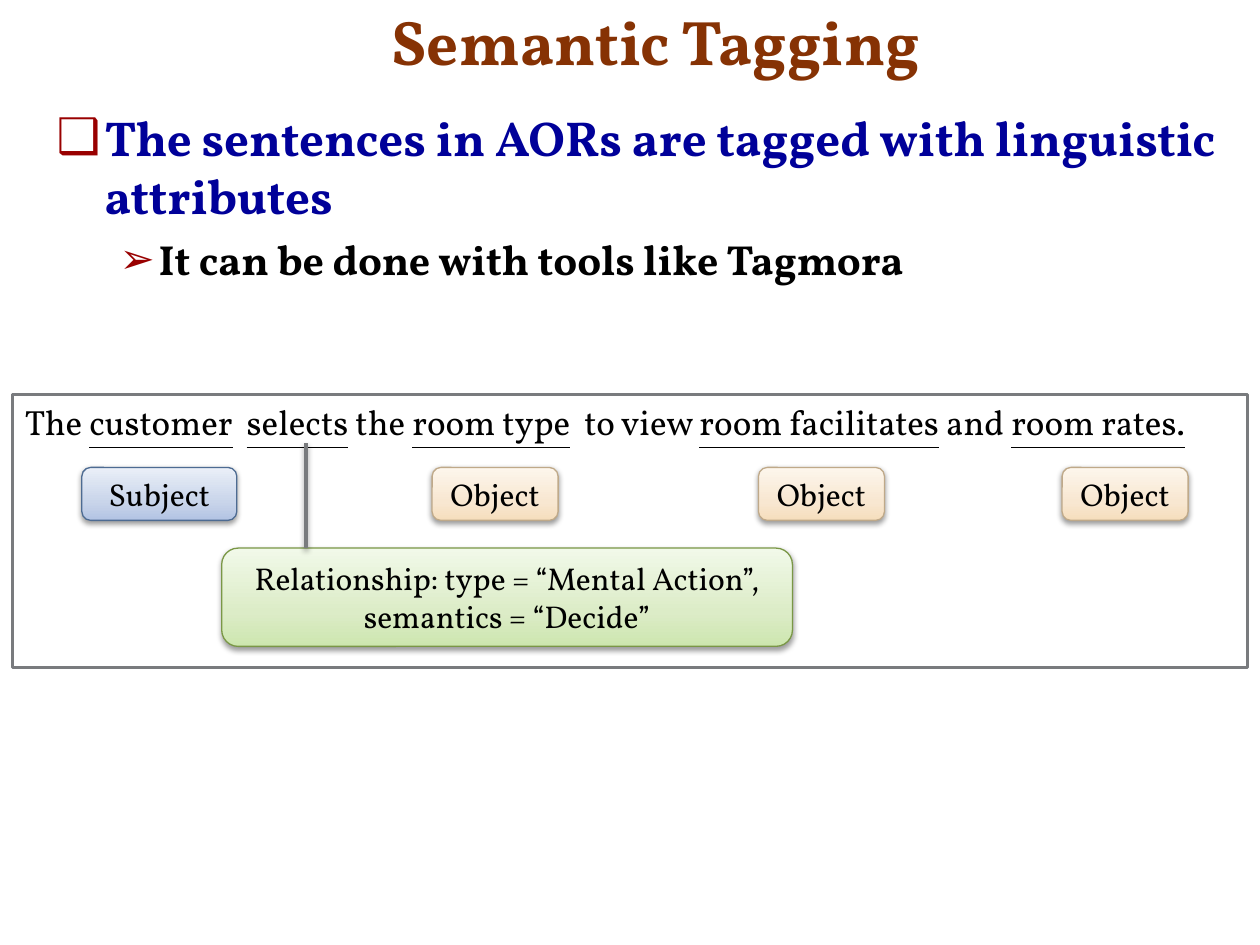
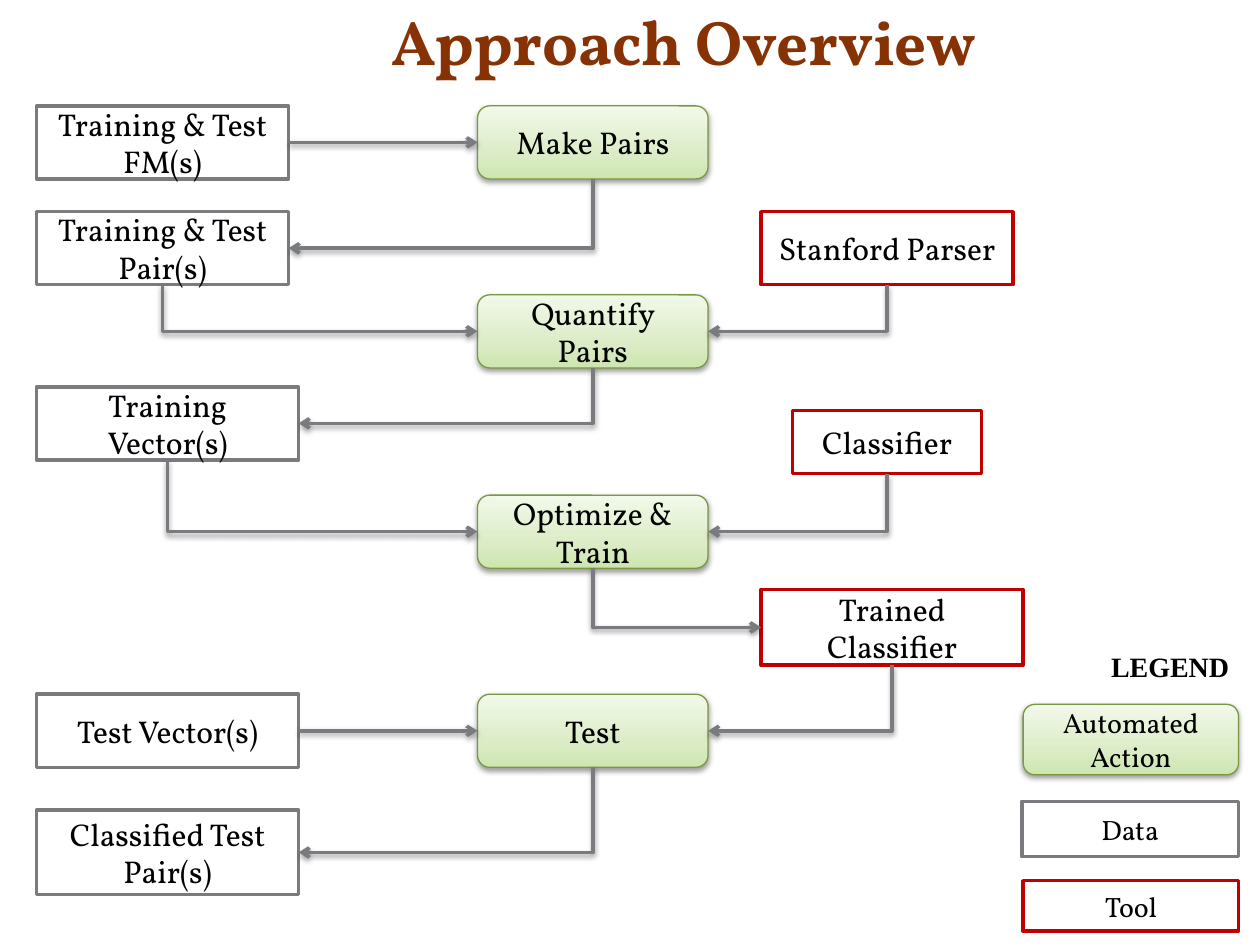
"""Build two slides: semantic tagging and the approach overview."""
from copy import deepcopy

from pptx import Presentation
from pptx.dml.color import RGBColor
from pptx.enum.shapes import MSO_CONNECTOR, MSO_SHAPE
from pptx.enum.text import MSO_ANCHOR, MSO_AUTO_SIZE, PP_ALIGN
from pptx.oxml import parse_xml
from pptx.oxml.ns import nsdecls, qn
from pptx.util import Inches, Pt

FONT = "Vollkorn"
BLACK, WHITE, GRAY = "000000", "FFFFFF", "797B7E"
BROWN, NAVY, RED, MAROON = "863204", "000099", "C00000", "990000"
GREEN = ("CDE6AF", "DCECC7", "F1F9E9")
BLUE = ("B2C3E3", "C9D5EA", "EAEFF8")
PEACH = ("F6DEBD", "F8E7D1", "FDF6EC")
STYLES = {
    "data": ((WHITE,), GRAY),
    "tool": ((WHITE,), RED),
    "action": (GREEN, "7A9746"),
    "subject": (BLUE, "4D6B92"),
    "object": (PEACH, "BFA989"),
}
SHADOW = (
    f'<a:effectLst {nsdecls("a")}><a:outerShdw blurRad="40000" dist="20000" '
    'dir="5400000" rotWithShape="0"><a:srgbClr val="000000">'
    '<a:alpha val="38000"/></a:srgbClr></a:outerShdw></a:effectLst>'
)


def tint(target, color):
    """Give a colour format the colour of a hex string."""
    target.rgb = RGBColor.from_string(color)


def write(frame, text, size=18, color=BLACK, font=FONT, bold=False,
          align=PP_ALIGN.CENTER, anchor=MSO_ANCHOR.MIDDLE, wrap=True):
    """Fill a frame line by line; text between underscores is underlined."""
    frame.word_wrap = wrap
    frame.auto_size = MSO_AUTO_SIZE.NONE
    frame.vertical_anchor = anchor
    for row, line in enumerate(text.split("\n")):
        para = frame.add_paragraph() if row else frame.paragraphs[0]
        para.alignment = align
        for part, words in enumerate(line.split("_")):
            run = para.add_run()
            run.text = words
            run.font.name = font
            run.font.size = Pt(size)
            run.font.bold = bold
            run.font.underline = part % 2 == 1
            tint(run.font.color, color)


deck = Presentation()
deck.slide_width, deck.slide_height = Inches(10), Inches(7.5)
tags = deck.slides.add_slide(deck.slide_layouts[1])
flow = deck.slides.add_slide(deck.slide_layouts[5])

for slide, name in ((tags, "Semantic Tagging"), (flow, "Approach Overview")):
    title = slide.shapes.title
    title.left, title.top = Inches(3.01), Inches(-0.03)
    title.width, title.height = Inches(6.84), Inches(0.7)
    write(title.text_frame, name, size=36, color=BROWN, bold=True,
          align=PP_ALIGN.LEFT, anchor=MSO_ANCHOR.BOTTOM)

body = tags.placeholders[1]
body.left, body.top = Inches(0.35), Inches(0.8)
body.width, body.height = Inches(9.49), Inches(5.7)
write(body.text_frame,
      "The sentences in AORs are tagged with linguistic attributes\n"
      "It can be done with tools like Tagmora",
      size=28, color=NAVY, bold=True, align=PP_ALIGN.LEFT, anchor=MSO_ANCHOR.TOP)
levels = (("❑", 0.38, 0.38, 0, 28, NAVY), ("➢", 0.81, 0.31, 5, 24, BLACK))
for level, para in enumerate(body.text_frame.paragraphs):
    mark, left, hang, space, size, color = levels[level]
    para.level = level
    para.space_before = Pt(space)
    props = para._p.get_or_add_pPr()
    props.set("marL", str(Inches(left)))
    props.set("indent", str(-Inches(hang)))
    props.append(parse_xml(
        f'<a:buClr {nsdecls("a")}><a:srgbClr val="{MAROON}"/></a:buClr>'))
    props.append(parse_xml(f'<a:buChar {nsdecls("a")} char="{mark}"/>'))
    para.runs[0].font.size = Pt(size)
    tint(para.runs[0].font.color, color)

top_left = {"size": 20, "align": PP_ALIGN.LEFT, "anchor": MSO_ANCHOR.TOP}
boxes = [
    (tags, "data", 0.1, 3.13, 9.8, 2.17,
     "The _customer_  _selects_ the _room type_  to view "
     "_room facilitates_ and _room rates._", top_left),
    (tags, "subject", 0.65, 3.71, 1.23, 0.42, "Subject", {}),
    (tags, "action", 1.76, 4.35, 4.53, 0.78,
     "Relationship: type = “Mental Action”, semantics = “Decide”", {}),
]
for left in (3.43, 6.02, 8.43):
    boxes.append((tags, "object", left, 3.71, 1, 0.42, "Object", {}))
for top, text in ((0.84, "Make Pairs"), (2.34, "Quantify Pairs"),
                  (3.93, "Optimize & Train"), (5.51, "Test")):
    boxes.append((flow, "action", 3.79, top, 1.83, 0.58, text, {}))
for top, wide, high, text in (
        (0.84, 2, 0.58, "Training & Test FM(s)"),
        (1.68, 2, 0.58, "Training & Test Pair(s)"),
        (3.07, 2.08, 0.58, "Training Vector(s)"),
        (5.51, 2.08, 0.58, "Test Vector(s)"),
        (6.43, 2.08, 0.67, "Classified Test\nPair(s)")):
    boxes.append((flow, "data", 0.29, top, wide, high, text, {}))
small = {"size": 16}
boxes += [
    (flow, "tool", 6.04, 1.68, 2, 0.58, "Stanford Parser", {}),
    (flow, "tool", 6.29, 3.26, 1.5, 0.5, "Classifier", {}),
    (flow, "tool", 6.04, 4.68, 2.08, 0.6, "Trained Classifier", {}),
    (flow, "action", 8.12, 5.59, 1.71, 0.56, "Automated Action", small),
    (flow, "data", 8.11, 6.36, 1.72, 0.44, "Data", small),
    (flow, "tool", 8.12, 6.99, 1.71, 0.4, "Tool", small),
]

spots = {}
for slide, style, left, top, wide, high, text, look in boxes:
    fills, edge = STYLES[style]
    shaded = len(fills) > 1
    form = MSO_SHAPE.ROUNDED_RECTANGLE if shaded else MSO_SHAPE.RECTANGLE
    box = slide.shapes.add_shape(
        form, Inches(left), Inches(top), Inches(wide), Inches(high))
    tint(box.line.color, edge)
    box.line.width = Pt(0.75 if shaded else 2)
    if shaded:
        box.fill.gradient()
        box.fill.gradient_angle = 90
        props = box._element.spPr
        stops = props.find(".//" + qn("a:gsLst"))
        stops.insert(1, deepcopy(stops[0]))
        for stop, place, color in zip(box.fill.gradient_stops, (0, 0.35, 1), fills):
            stop.position = place
            tint(stop.color, color)
        props.append(parse_xml(SHADOW))
    else:
        box.fill.solid()
        tint(box.fill.fore_color, fills[0])
        box.shadow.inherit = False
    write(box.text_frame, text, **look)
    spots[text] = (left, top, wide, high)

lines = [(tags, 2.43, 3.52, 2.43, 4.35)]
for start, goal in (
        ("Training & Test FM(s)", "Make Pairs"),
        ("Make Pairs", "Training & Test Pair(s)"),
        ("Training & Test Pair(s)", "Quantify Pairs"),
        ("Stanford Parser", "Quantify Pairs"),
        ("Quantify Pairs", "Training Vector(s)"),
        ("Training Vector(s)", "Optimize & Train"),
        ("Classifier", "Optimize & Train"),
        ("Optimize & Train", "Trained Classifier"),
        ("Trained Classifier", "Test"),
        ("Test Vector(s)", "Test"),
        ("Test", "Classified Test\nPair(s)")):
    left, top, wide, high = spots[start]
    side, head, span, tall = spots[goal]
    end = side if side > left else side + span
    mid = head + tall / 2
    if top == head:
        lines.append((flow, left + wide, mid, end, mid))
    else:
        lines.append((flow, left + wide / 2, top + high, end, mid))

for slide, x1, y1, x2, y2 in lines:
    bent = x1 != x2 and y1 != y2
    kind = MSO_CONNECTOR.STRAIGHT
    ends = (x1, y1, x2, y2)
    if bent:
        kind = MSO_CONNECTOR.ELBOW
        midx, midy = (x1 + x2) / 2, (y1 + y2) / 2
        drop, reach = (y2 - y1) / 2, abs(x2 - x1) / 2
        if x2 > x1:
            drop = -drop
        ends = (midx - drop, midy - reach, midx + drop, midy + reach)
    link = slide.shapes.add_connector(kind, *[Inches(end) for end in ends])
    tint(link.line.color, GRAY)
    link.line.width = Pt(2)
    props = link._element.spPr
    if bent:
        props.find(qn("a:prstGeom")).set("prst", "bentConnector2")
        props.find(qn("a:xfrm")).set("rot", "16200000" if x2 > x1 else "5400000")
    if slide is flow:
        props.find(qn("a:ln")).append(
            parse_xml(f'<a:tailEnd {nsdecls("a")} type="arrow"/>'))
    props.append(parse_xml(SHADOW))

label = flow.shapes.add_textbox(
    Inches(8.72), Inches(5.11), Inches(1.15), Inches(0.37))
write(label.text_frame, "LEGEND", size=16, font="Times New Roman", bold=True,
      align=PP_ALIGN.LEFT, anchor=MSO_ANCHOR.TOP, wrap=False)

deck.save("out.pptx")
